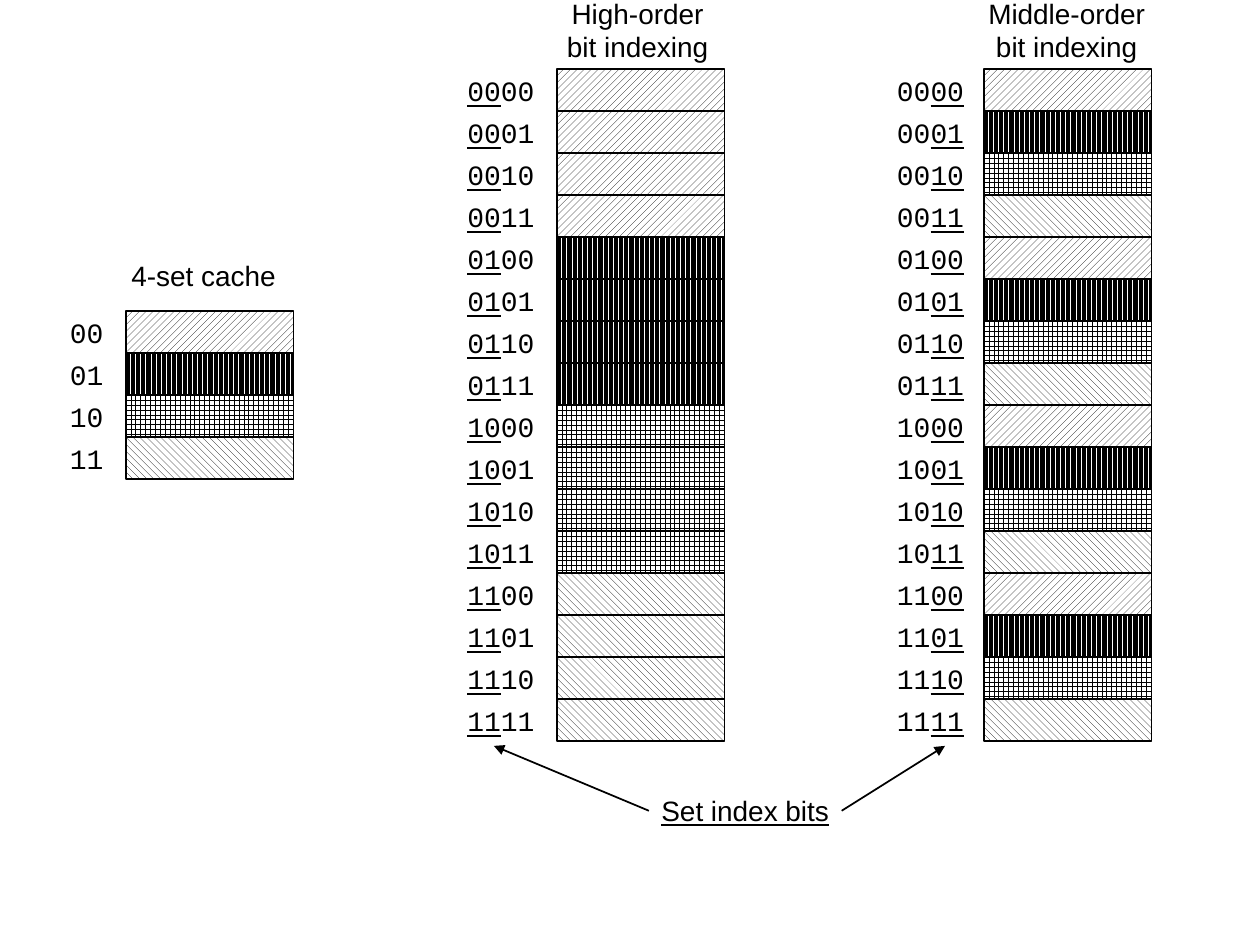
import pptx
import pptx.util
from lxml import etree
from pptx.dml.color import RGBColor
from pptx.enum.dml import MSO_PATTERN
from pptx.enum.shapes import MSO_CONNECTOR, MSO_SHAPE
from pptx.enum.text import MSO_ANCHOR, MSO_AUTO_SIZE, PP_ALIGN
from pptx.oxml.ns import qn
from pptx.util import Inches

BLACK = RGBColor(0x00, 0x00, 0x00)
WHITE = RGBColor(0xFF, 0xFF, 0xFF)
SET_PATTERNS = {
    "00": MSO_PATTERN.WIDE_UPWARD_DIAGONAL,
    "01": MSO_PATTERN.DARK_VERTICAL,
    "10": MSO_PATTERN.LARGE_GRID,
    "11": MSO_PATTERN.WIDE_DOWNWARD_DIAGONAL,
}
ROW_HEIGHT = Inches(1) // 3
ROW_WIDTH = Inches(1.33)
LABEL_WIDTH = Inches(0.5)


def write_text(box, lines, font="Arial", align=PP_ALIGN.CENTER, anchor=MSO_ANCHOR.TOP):
    """Fill a box with lines, each a list of (text, underlined) spans."""
    frame = box.text_frame
    frame.word_wrap = False
    frame.vertical_anchor = anchor
    for number, spans in enumerate(lines):
        para = frame.add_paragraph() if number else frame.paragraphs[0]
        para.alignment = align
        for text, underlined in spans:
            span = para.add_run()
            span.text = text
            span.font.name = font
            span.font.size = pptx.util.Pt(16)
            span.font.color.rgb = BLACK
            span.font.underline = underlined


def add_caption(shapes, left, top, width, height, lines, **text_format):
    box = shapes.add_textbox(left, top, width, height)
    write_text(box, lines, **text_format)
    box.text_frame.auto_size = MSO_AUTO_SIZE.SHAPE_TO_FIT_TEXT
    return box


def add_block(shapes, left, top, set_bits):
    block = shapes.add_shape(MSO_SHAPE.RECTANGLE, left, top, ROW_WIDTH, ROW_HEIGHT)
    block.shadow.inherit = False
    block.fill.patterned()
    block.fill.pattern = SET_PATTERNS[set_bits]
    block.fill.fore_color.rgb = BLACK
    block.fill.back_color.rgb = WHITE
    block.line.color.rgb = BLACK
    block.line.width = pptx.util.Pt(1)


def add_address(shapes, left, top, spans):
    label = shapes.add_shape(MSO_SHAPE.RECTANGLE, left, top, LABEL_WIDTH, ROW_HEIGHT)
    label.shadow.inherit = False
    label.fill.solid()
    label.fill.fore_color.rgb = WHITE
    label.line.fill.background()
    write_text(label, [spans], font="Courier New", align=PP_ALIGN.RIGHT,
               anchor=MSO_ANCHOR.MIDDLE)


def add_memory(page, left, top, label_left, address_bits, index_start, underline=True):
    """Stack one patterned block per address; two bits from index_start pick the set."""
    shapes = page.shapes.add_group_shape().shapes
    for row in range(2 ** address_bits):
        address = f"{row:0{address_bits}b}"
        index_end = index_start + 2
        index = address[index_start:index_end]
        parts = [(address[:index_start], False), (index, underline),
                 (address[index_end:], False)]
        row_top = top + row * ROW_HEIGHT
        add_block(shapes, left, row_top, index)
        add_address(shapes, label_left, row_top, [part for part in parts if part[0]])
    return shapes


def add_arrow(page, start_box, side, end_left, end_top):
    arrow = page.shapes.add_connector(MSO_CONNECTOR.STRAIGHT, 0, 0, end_left, end_top)
    arrow.begin_connect(start_box, side)
    arrow.line.color.rgb = BLACK
    arrow.line.width = pptx.util.Pt(1)
    etree.SubElement(arrow.line._get_or_add_ln(), qn("a:tailEnd"), type="triangle")
    etree.SubElement(arrow._element.spPr, qn("a:effectLst"))


def add_index_note(page, left, top):
    note = add_caption(page.shapes, left, top, Inches(1.53), Inches(0.37),
                       [[("Set index bits", True)]], anchor=MSO_ANCHOR.MIDDLE)
    arrow_top = top - Inches(0.33)
    add_arrow(page, note, 1, left - Inches(1.23), arrow_top)
    add_arrow(page, note, 3, left + Inches(2.35), arrow_top)


def main():
    deck = pptx.Presentation()
    deck.slide_width, deck.slide_height = Inches(10), Inches(7.5)
    page = deck.slides.add_slide(deck.slide_layouts[6])

    cache = add_memory(page, Inches(1), Inches(2.47), Inches(0.42), 2, 0, underline=False)
    add_caption(cache, Inches(0.94), Inches(2), Inches(1.35), Inches(0.37),
                [[("4-set cache", False)]])

    memories = [
        ("High-order", 4.42, 3.84, 0, 4.4, 1.32),
        ("Middle-order", 7.81, 7.25, 2, 7.74, 1.45),
    ]
    for order, left, label_left, index_start, caption_left, caption_width in memories:
        memory = add_memory(page, Inches(left), Inches(0.55), Inches(label_left),
                            4, index_start)
        add_caption(memory, Inches(caption_left), Inches(-0.08), Inches(caption_width),
                    Inches(0.64), [[(order, False)], [("bit indexing", False)]])

    add_index_note(page, Inches(5.15), Inches(6.25))
    deck.save("out.pptx")


if __name__ == "__main__":
    main()
